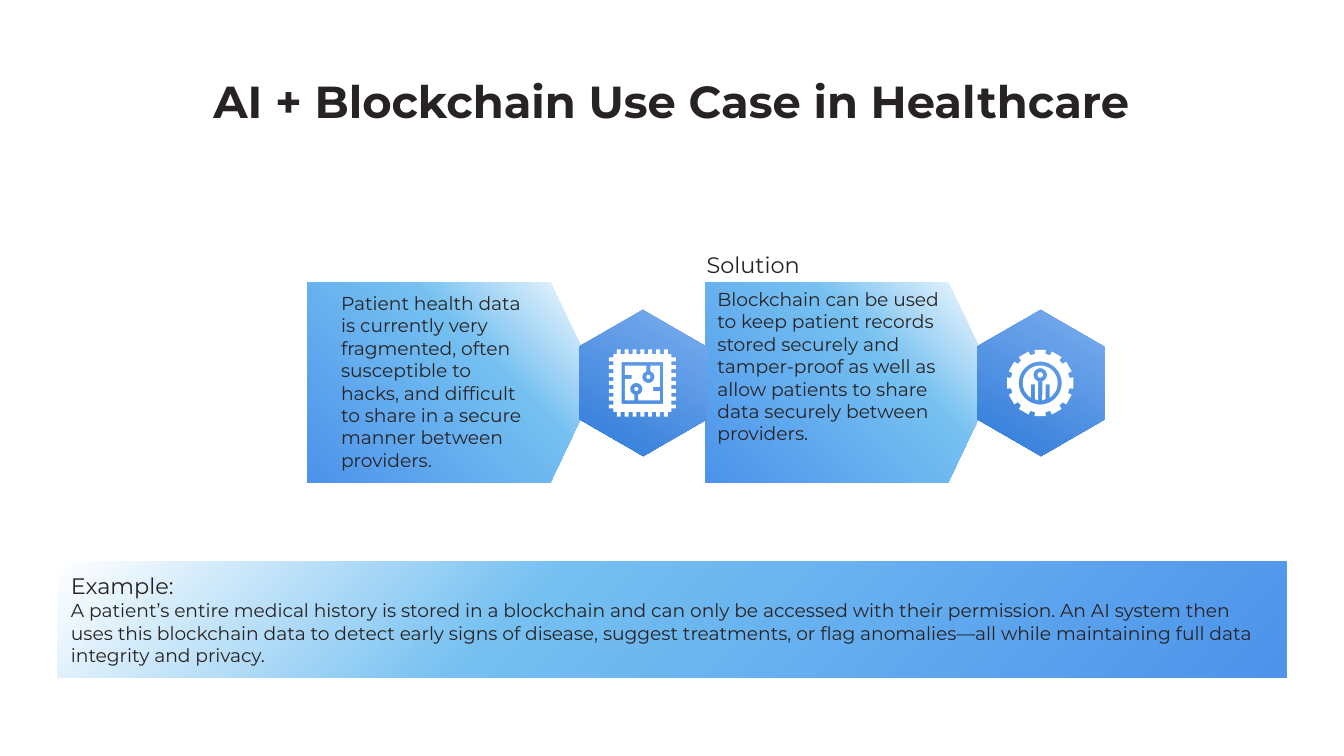
from dataclasses import dataclass
from math import cos, radians, sin

from lxml import etree
from pptx import Presentation
from pptx.dml.color import RGBColor
from pptx.enum.shapes import MSO_SHAPE as SHAPE
from pptx.enum.text import MSO_ANCHOR as ANCHOR, PP_ALIGN as ALIGN
from pptx.oxml.ns import qn
from pptx.util import Inches, Pt


@dataclass(frozen=True)
class Theme:
    font: str = "Montserrat"
    ink: str = "272323"
    white: str = "FFFFFF"
    panel: tuple = ((0, "FFFFFF"), (38, "75C0F1"), (100, "4D93EB"))
    badge: tuple = ((0, "89B7F2"), (100, "2272D6"))
    title: int = 24
    heading: int = 12
    body: int = 10


T = Theme()


# Shared helpers
def write(tf, *lines, anchor=ANCHOR.TOP, align=ALIGN.LEFT, bold=False):
    """Fill a text frame with (text, size) lines, one paragraph each."""
    tf.word_wrap = True
    tf.vertical_anchor = anchor
    tf.margin_left = tf.margin_right = tf.margin_top = tf.margin_bottom = Inches(0.1)
    for i, (text, size) in enumerate(lines):
        p = tf.add_paragraph() if i else tf.paragraphs[0]
        p.alignment = align
        r = p.add_run()
        r.text = text
        r.font.name, r.font.size, r.font.bold = T.font, Pt(size), bold
        r.font.color.rgb = RGBColor.from_string(T.ink)


def add_text(s, box, *lines, **fmt):
    tb = s.shapes.add_textbox(*map(Inches, box))
    write(tb.text_frame, *lines, **fmt)


def add_gradient_shape(s, kind, box, stops, angle):
    sp = s.shapes.add_shape(kind, *map(Inches, box))
    sp.shadow.inherit = False
    sp.line.fill.background()
    sp.fill.gradient()
    sp.fill.gradient_angle = 360 - angle  # python-pptx counts anticlockwise
    stop_list = next(sp.element.iter(qn("a:gsLst")))
    for old in list(stop_list):
        stop_list.remove(old)
    for pos, color in stops:
        gs = etree.SubElement(stop_list, qn("a:gs"), pos=str(pos * 1000))
        etree.SubElement(gs, qn("a:srgbClr"), val=color)
    return sp


def polar(r, deg, x=0, y=0):
    return x + r * cos(radians(deg)), y + r * sin(radians(deg))


def arc(x, y, r, start, end, steps=32):
    return [polar(r, start + (end - start) * i / steps, x, y) for i in range(steps + 1)]


def circle(x, y, r):
    return arc(x, y, r, 0, 360)


def add_outline(s, center, *contours):
    """Draw white contours around a center; later contours are holes."""
    cx, cy = center
    placed = [[(Inches(cx + x), Inches(cy + y)) for x, y in c] for c in contours]
    fb = s.shapes.build_freeform(*placed[0][0])
    for i, points in enumerate(placed):
        if i:
            fb.move_to(*points[0])
        fb.add_line_segments(points[1:], close=True)
    sp = fb.convert_to_shape()
    sp.shadow.inherit = False
    sp.fill.solid()
    sp.fill.fore_color.rgb = RGBColor.from_string(T.white)
    sp.line.fill.background()


# Icons
def chip_icon(s, center):
    pins, tip, base, reach = 7, 0.25, 0.215, 0.19
    step = 2 * reach / (2 * pins - 1)
    side = [(-base, -base)]
    for i in range(pins):
        x = -reach + 2 * i * step
        side += [(x, -base), (x, -tip), (x + step, -tip), (x + step, -base)]
    body = []
    for _ in range(4):
        body += side
        side = [(-y, x) for x, y in side]
    h = 0.155
    add_outline(s, center, body, [(-h, -h), (h, -h), (h, h), (-h, h)])

    # The circuit is symmetric under a half turn
    half = [(-0.08, -0.06), (-0.08, -0.03), (-0.13, -0.03), (-0.13, 0.13), (-0.06, 0.13),
            *arc(-0.045, 0.045, 0.045, 108, 432), (-0.03, 0.13), (0.13, 0.13), (0.13, 0.06)]
    add_outline(s, center, half + [(-x, -y) for x, y in half])
    for sign in (-1, 1):
        add_outline(s, center, circle(sign * 0.045, -sign * 0.045, 0.015))


def gear_icon(s, center):
    teeth = 12
    rim = [polar(r, 360 / teeth * i + deg) for i in range(teeth)
           for r, deg in ((0.22, -10.5), (0.25, -9.5), (0.25, 9.5), (0.22, 10.5))]
    add_outline(s, center, rim, circle(0, 0, 0.16))

    slots = [(-0.07, 0.01), (-0.04, 0.01), (-0.04, 0.12), (-0.015, 0.13)]
    mirrored = [(-x, y) for x, y in reversed(slots)]
    add_outline(s, center, arc(0, 0, 0.13, 57.5, -237.5) + slots
                + arc(0, -0.06, 0.05, 108, 432) + mirrored)
    add_outline(s, center, circle(0, -0.06, 0.02))


# Slide regions
def title(s, box):
    add_text(s, box, ("AI + Blockchain Use Case in Healthcare", T.title),
             align=ALIGN.CENTER, bold=True)


def card(s, x, y, icon, text, text_box, heading=None):
    arrow = add_gradient_shape(s, SHAPE.PENTAGON, (x, y, 2.16, 1.49), T.panel, 135)
    arrow.adjustments[0] = 0.238
    badge = add_gradient_shape(s, SHAPE.HEXAGON, (x + 1.95, y + 0.28, 1.09, 0.94), T.badge, 90)
    badge.adjustments[0], badge.adjustments[1] = 0.289, 1.155
    badge.rotation = 30
    icon(s, (x + 2.49, y + 0.75))
    if heading:
        add_text(s, (x - 0.09, y - 0.51, 1.46, 0.58), (heading, T.heading),
                 anchor=ANCHOR.BOTTOM)
    dx, dy, w, h = text_box
    add_text(s, (x + dx, y + dy, w, h), (text, T.body))


def example(s, box):
    sp = add_gradient_shape(s, SHAPE.RECTANGLE, box, T.panel, 45)
    write(sp.text_frame, ("Example:", T.heading),
          ("A patient’s entire medical history is stored in a blockchain and can only be "
           "accessed with their permission. An AI system then uses this blockchain data to "
           "detect early signs of disease, suggest treatments, or flag anomalies—all while "
           "maintaining full data integrity and privacy.", T.body),
          anchor=ANCHOR.MIDDLE)


def main():
    prs = Presentation()
    prs.slide_width = Inches(10)
    prs.slide_height = Inches(10 * 9 / 16)
    s = prs.slides.add_slide(prs.slide_layouts[6])
    title(s, (0.49, 0.45, 9.01, 0.61))
    # The solution goes first so the problem's badge lies over its edge
    card(s, 5.25, 2.1, gear_icon,
         "Blockchain can be used to keep patient records stored securely and tamper-proof "
         "as well as allow patients to share data securely between providers.",
         (-0.01, -0.06, 1.87, 0.75), heading="Solution")
    card(s, 2.29, 2.1, chip_icon,
         "Patient health data is currently very fragmented, often susceptible to hacks, "
         "and difficult to share in a secure manner between providers.",
         (0.15, -0.03, 1.56, 1.45))
    example(s, (0.43, 4.18, 9.14, 0.86))
    prs.save("out.pptx")


if __name__ == "__main__":
    main()
